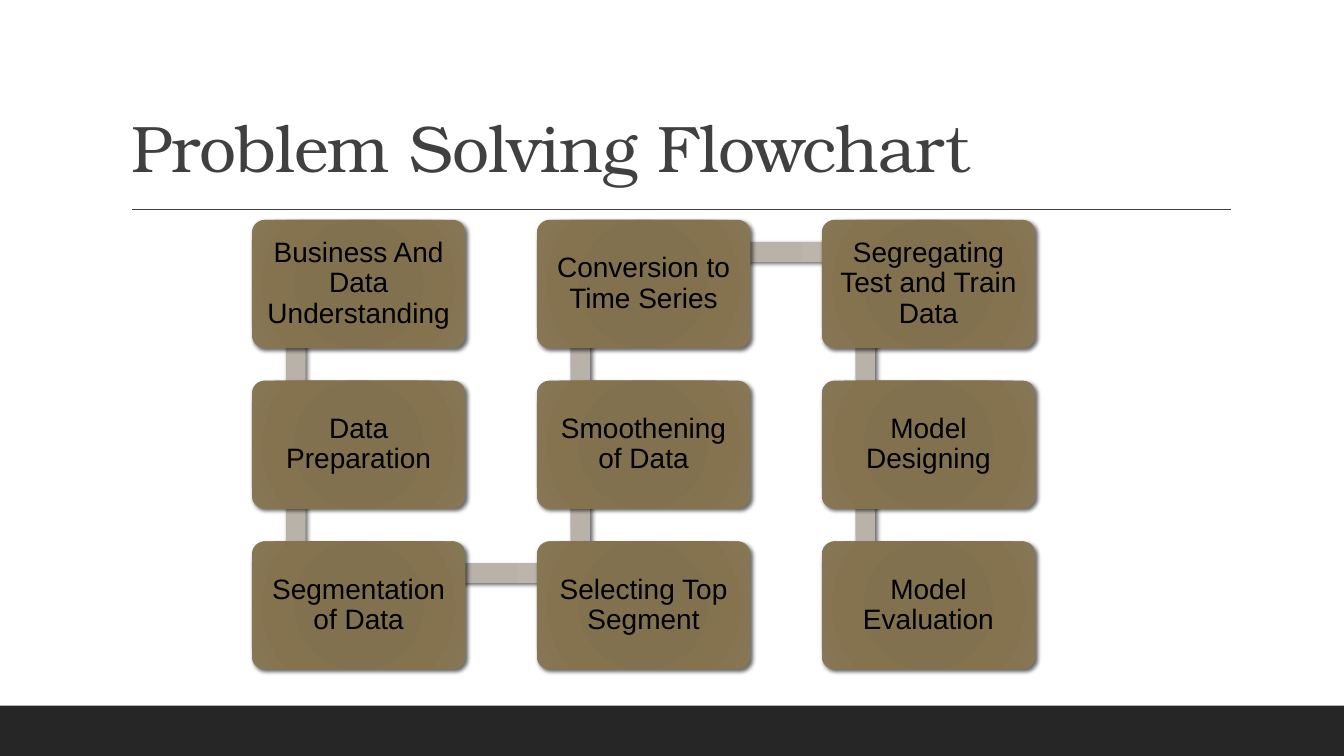
from lxml import etree
from pptx import Presentation
from pptx.dml.color import RGBColor
from pptx.enum.shapes import MSO_CONNECTOR, MSO_SHAPE
from pptx.enum.text import MSO_ANCHOR, PP_ALIGN
from pptx.oxml import parse_xml
from pptx.oxml.ns import qn
from pptx.util import Cm, Pt

RECT, ROUND = MSO_SHAPE.RECTANGLE, MSO_SHAPE.ROUNDED_RECTANGLE
STRAIGHT = MSO_CONNECTOR.STRAIGHT
LEFT, CENTER = PP_ALIGN.LEFT, PP_ALIGN.CENTER
MIDDLE, BOTTOM = MSO_ANCHOR.MIDDLE, MSO_ANCHOR.BOTTOM
NS = "http://schemas.openxmlformats.org/drawingml/2006/main"

# Content: steps in order, each with its column and row
TITLE = "Problem Solving Flowchart"
STEPS = [
    ("Business And Data Understanding", 0, 0),
    ("Data Preparation", 0, 1),
    ("Segmentation of Data", 0, 2),
    ("Selecting Top Segment", 1, 2),
    ("Smoothening of Data", 1, 1),
    ("Conversion to Time Series", 1, 0),
    ("Segregating Test and Train Data", 2, 0),
    ("Model Designing", 2, 1),
    ("Model Evaluation", 2, 2),
]

# Looks
TITLE_FONT = {"name": "TeX Gyre Bonum", "size": Pt(47)}
STEP_FONT = {"name": "Arial", "size": Pt(20)}
STOPS = (0, 34, 70, 100)
BOX_COLORS = ("82704D", "82714F", "85734F", "877757")
BAR_COLORS = ("B7B0A7", "B8B2A9", "BBB5AB", "C3BDB4")

# Grid in cm
X0, Y0 = 6.35, 5.54
STEP_X, STEP_Y = 7.18, 4.05
BOX_W, BOX_H = 5.38, 3.23
BAR = 0.48
BAR_X, BAR_Y = 1.1, 0.8  # where a bar starts or ends inside a box


def rgb(color):
    return RGBColor.from_string(color)


def write(tf, text, font, color, align, anchor):
    tf.word_wrap = True
    tf.vertical_anchor = anchor
    p = tf.paragraphs[0]
    p.alignment = align
    p.line_spacing = 0.9
    r = p.add_run()
    r.text = text
    for key, value in font.items():
        setattr(r.font, key, value)
    r.font.color.rgb = rgb(color)
    return r


def add_block(kind, x, y, w, h, colors):
    """Shape with a round gradient and a soft shadow, in cm."""
    sp = s.shapes.add_shape(kind, Cm(x), Cm(y), Cm(w), Cm(h))
    sp.line.fill.background()
    sp.shadow.inherit = False
    stops = "".join(f'<a:gs pos="{pos * 1000}"><a:srgbClr val="{c}"/></a:gs>'
                    for pos, c in zip(STOPS, colors))
    grad = parse_xml(
        f'<a:gradFill xmlns:a="{NS}" rotWithShape="1"><a:gsLst>{stops}</a:gsLst>'
        '<a:path path="circle"><a:fillToRect l="100000" t="100000" '
        'r="100000" b="100000"/></a:path></a:gradFill>')
    shadow = parse_xml(
        f'<a:outerShdw xmlns:a="{NS}" blurRad="{Pt(3)}" dist="{Pt(2)}" '
        'dir="2700000" rotWithShape="0"><a:srgbClr val="000000">'
        '<a:alpha val="60000"/></a:srgbClr></a:outerShdw>')
    props = sp.element.spPr
    props.find(qn("a:ln")).addprevious(grad)
    props.find(qn("a:effectLst")).append(shadow)
    return sp


prs = Presentation()
prs.slide_width, prs.slide_height = Cm(33.87), Cm(19.05)
s = prs.slides.add_slide(prs.slide_layouts[5])

# Footer band and rule under the title
band = s.shapes.add_shape(RECT, 0, Cm(17.78), prs.slide_width, Cm(1.27))
band.shadow.inherit = False
band.fill.solid()
band.fill.fore_color.rgb = rgb("262626")
band.line.fill.background()

rule = s.shapes.add_connector(STRAIGHT, Cm(3.33), Cm(5.28), Cm(31.01), Cm(5.28))
rule.line.color.rgb = rgb("404040")
rule.line.width = Pt(1)
etree.SubElement(rule.element.spPr, qn("a:effectLst"))

# Title
title = s.shapes.title
title.left, title.top, title.width, title.height = Cm(3.05), Cm(0.79), Cm(27.94), Cm(4.04)
r = write(title.text_frame, TITLE, TITLE_FONT, "404040", LEFT, BOTTOM)
r.font._element.set("spc", "-50")

# Bars from each step to the next, behind the boxes
corners = [(X0 + col * STEP_X, Y0 + row * STEP_Y) for _, col, row in STEPS]
for (x1, y1), (x2, y2) in zip(corners, corners[1:]):
    add_block(RECT,
              min(x1, x2) + BAR_X - BAR / 2, min(y1, y2) + BAR_Y - BAR / 2,
              abs(x2 - x1) + BAR, abs(y2 - y1) + BAR, BAR_COLORS)

# Step boxes
for (text, _, _), (x, y) in zip(STEPS, corners):
    box = add_block(ROUND, x, y, BOX_W, BOX_H, BOX_COLORS)
    box.adjustments[0] = 0.1
    tf = box.text_frame
    for side in ("left", "top", "right", "bottom"):
        setattr(tf, f"margin_{side}", Cm(0.2))
    write(tf, text, STEP_FONT, "000000", CENTER, MIDDLE)

prs.save("out.pptx")
